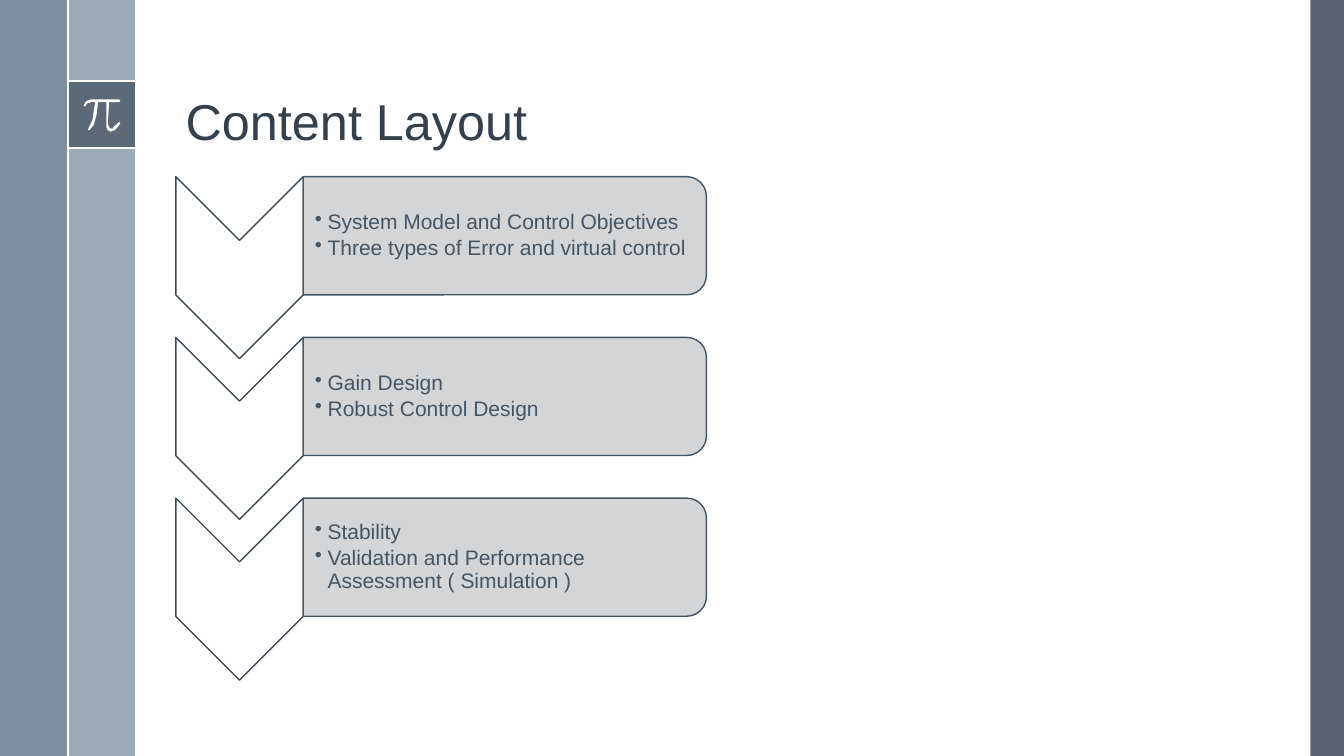
from lxml.etree import SubElement
from pptx import Presentation
from pptx.dml.color import RGBColor
from pptx.enum.shapes import MSO_CONNECTOR, MSO_SHAPE
from pptx.enum.text import MSO_ANCHOR
from pptx.oxml.ns import qn
from pptx.util import Pt

WHITE = RGBColor(0xFF, 0xFF, 0xFF)
SLATE = RGBColor(0x47, 0x55, 0x62)
MIST = RGBColor(0x9B, 0xAA, 0xB7)
STEEL = RGBColor(0x6A, 0x80, 0x93)
INK = RGBColor(0x35, 0x40, 0x4A)
EDGE = RGBColor(0x40, 0x4D, 0x59)
BODY = RGBColor(0x46, 0x55, 0x62)
PANEL = RGBColor(0xCF, 0xD1, 0xD3)

PI_OUTLINE = [
    (85, 70.6), (64.8, 70.6), (62.3, 71.5), (60.6, 73.2), (59.8, 74.9),
    (60.3, 75.7), (61.1, 75.5), (62.4, 73.6), (64.8, 72.7), (67.7, 72.7),
    (67.2, 78.6), (65.9, 86.2), (63.2, 91.6), (63.2, 92.8), (64.3, 93.1),
    (66.8, 89.4), (68.6, 82.4), (69.8, 72.7), (76.3, 72.7), (75.6, 87.8),
    (75.8, 90.7), (77, 92.9), (79.2, 93.8), (82, 93.2), (84.2, 91),
    (85.6, 87.8), (85, 87), (83.8, 87.5), (82.4, 90.4), (80.2, 92),
    (78, 91.4), (77, 87.8), (78.5, 72.7), (85, 72.7), (85.8, 71.7),
]

STEPS = [
    ["System Model and Control Objectives",
     "Three types of Error and virtual control"],
    ["Gain Design", "Robust Control Design"],
    ["Stability", "Validation and Performance Assessment ( Simulation )"],
]


class Deck:
    font = "Arial"

    def __init__(self, width, height):
        self.prs = Presentation()
        self.prs.slide_width, self.prs.slide_height = Pt(width), Pt(height)
        self.s = self.prs.slides.add_slide(self.prs.slide_layouts[6])

    def paint(self, sp, fill, opacity=100, line=None):
        sp.shadow.inherit = False
        sp.fill.solid()
        sp.fill.fore_color.rgb = fill
        if opacity < 100:
            clr = sp.fill._xPr.find(qn("a:solidFill"))[0]
            SubElement(clr, qn("a:alpha"), val=str(opacity * 1000))
        if line is None:
            sp.line.fill.background()
        else:
            sp.line.color.rgb = line
            sp.line.width = Pt(1)

    def shape(self, kind, x, y, w, h, fill, opacity=100, line=None):
        sp = self.s.shapes.add_shape(kind, Pt(x), Pt(y), Pt(w), Pt(h))
        self.paint(sp, fill, opacity, line)
        return sp

    def turned(self, kind, x, y, w, h, fill, opacity=100, line=None):
        shift = (w - h) / 2
        sp = self.shape(kind, x + shift, y - shift, h, w, fill, opacity, line)
        sp.rotation = 90

    def outline(self, points, fill):
        fb = self.s.shapes.build_freeform(*points[0], scale=Pt(1))
        fb.add_line_segments(points[1:], close=True)
        self.paint(fb.convert_to_shape(), fill)

    def line(self, x1, y1, x2, y2, color):
        c = self.s.shapes.add_connector(
            MSO_CONNECTOR.STRAIGHT, Pt(x1), Pt(y1), Pt(x2), Pt(y2))
        c.line.color.rgb = color
        c.line.width = Pt(1.5)
        SubElement(c._element.spPr, qn("a:effectLst"))

    def text(self, x, y, w, h, lines, size, color, anchor):
        sp = self.s.shapes.add_textbox(Pt(x), Pt(y), Pt(w), Pt(h))
        tf = sp.text_frame
        tf.word_wrap = True
        tf.vertical_anchor = anchor
        tf.text = "\n".join(lines)
        for p in tf.paragraphs:
            p.line_spacing = 0.9
            p.font.name = self.font
            p.font.size = Pt(size)
            p.font.color.rgb = color
        return tf

    def bullets(self, x, y, w, h, lines, size, color):
        tf = self.text(x, y, w, h, lines, size, color, MSO_ANCHOR.MIDDLE)
        tf.margin_left = Pt(8.4)
        tf.margin_top = tf.margin_right = tf.margin_bottom = Pt(0.7)
        for p in tf.paragraphs:
            p.space_after = Pt(2.25)
            pPr = p._p.get_or_add_pPr()
            pPr.set("marL", str(Pt(9)))
            pPr.set("indent", str(-Pt(9)))
            bu = pPr.makeelement(qn("a:buChar"), {"char": "•"})
            pPr.find(qn("a:defRPr")).addprevious(bu)


def main():
    d = Deck(960, 540)
    rect = MSO_SHAPE.RECTANGLE
    d.shape(rect, 936, 0, 24, 540, SLATE, 90)
    d.shape(rect, 48, 0, 48.4, 540, MIST)
    d.shape(rect, 0, 0, 48.4, 540, STEEL, 88)
    d.shape(rect, 48.4, 58, 48, 48, SLATE, 75)
    for y in (58, 105.8):
        d.line(48.4, y, 96.4, y, WHITE)
    d.outline(PI_OUTLINE, WHITE)
    d.line(48.4, 0, 48.4, 540, WHITE)
    d.text(125.5, 13.6, 770, 98, ["Content Layout"], 36, INK,
           MSO_ANCHOR.BOTTOM)

    for i, lines in enumerate(STEPS):
        y = 126.2 + i * 114.8
        d.turned(MSO_SHAPE.CHEVRON, 125.6, y, 91, 130, WHITE, line=EDGE)
        d.turned(MSO_SHAPE.ROUND_2_SAME_RECTANGLE, 216.6, y, 288, 84.4,
                 PANEL, 90, BODY)
        d.bullets(216.6, y + 4, 284, 76.4, lines, 15, BODY)

    d.prs.save("out.pptx")


if __name__ == "__main__":
    main()
